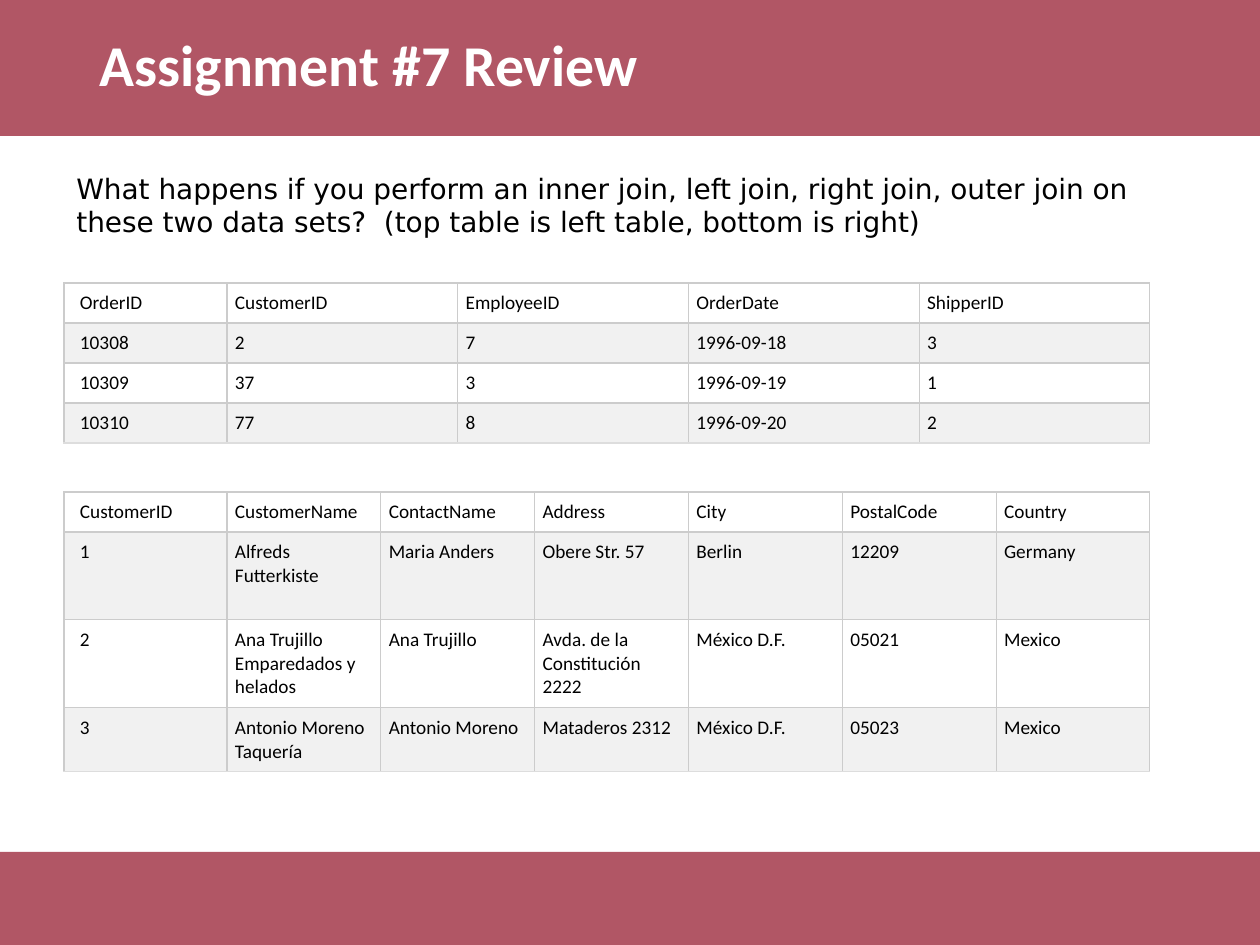
from lxml.etree import SubElement
from pptx import Presentation
from pptx.dml.color import RGBColor
from pptx.enum.shapes import MSO_SHAPE
from pptx.enum.text import MSO_ANCHOR, PP_ALIGN
from pptx.oxml.ns import qn
from pptx.util import Emu, Pt

PX = 914400 / 126
WIDTH, HEIGHT = 1260, 945
LEFT, CONTENT_WIDTH = 64, 1086
FIRST_COLUMN = 163
ROW = 40


def px(*lengths):
    """Turn pixel lengths into a list of EMU lengths."""
    return [Emu(round(length * PX)) for length in lengths]


def style(para, font, size, color, bold=False):
    for span in para.runs:
        span.font.name = font
        span.font.size = Pt(size)
        span.font.bold = bold
        span.font.color.rgb = RGBColor.from_string(color)


deck = Presentation()
deck.slide_width, deck.slide_height = px(WIDTH, HEIGHT)
page = deck.slides.add_slide(deck.slide_layouts[5])

# Header and footer bands, placed behind the title
for top, height in [(852, 93), (0, 136)]:
    band = page.shapes.add_shape(MSO_SHAPE.RECTANGLE, *px(0, top, WIDTH, height))
    band.shadow.inherit = False
    band.line.fill.background()
    band.fill.solid()
    band.fill.fore_color.rgb = RGBColor.from_string("981E32")
    color_node = band._element.spPr.find(qn("a:solidFill"))[0]
    SubElement(color_node, qn("a:alpha"), val="75000")
    page.shapes._spTree.insert(2, band._element)

title = page.shapes.title
title.left, title.top, title.width, title.height = px(87, 0, CONTENT_WIDTH, 136)
title.text_frame.text = "Assignment #7 Review"
title.text_frame.vertical_anchor = MSO_ANCHOR.MIDDLE
para = title.text_frame.paragraphs[0]
para.alignment = PP_ALIGN.LEFT
para.line_spacing = 0.9
style(para, "Calibri", 33, "FFFFFF", bold=True)

# Tables: the first column is fixed, the others share the remaining width
orders = [
    ["OrderID", "CustomerID", "EmployeeID", "OrderDate", "ShipperID"],
    ["10308", "2", "7", "1996-09-18", "3"],
    ["10309", "37", "3", "1996-09-19", "1"],
    ["10310", "77", "8", "1996-09-20", "2"],
]
customers = [
    ["CustomerID", "CustomerName", "ContactName", "Address", "City", "PostalCode", "Country"],
    ["1", "Alfreds Futterkiste", "Maria Anders", "Obere Str. 57", "Berlin", "12209", "Germany"],
    ["2", "Ana Trujillo Emparedados y helados", "Ana Trujillo",
     "Avda. de la Constitución 2222", "México D.F.", "05021", "Mexico"],
    ["3", "Antonio Moreno Taquería", "Antonio Moreno", "Mataderos 2312",
     "México D.F.", "05023", "Mexico"],
]
for top, records, row_heights in [
    (283, orders, [ROW] * 4),
    (492, customers, [ROW, 88, 88, 64]),
]:
    column_count = len(records[0])
    frame = page.shapes.add_table(
        len(records), column_count, *px(LEFT, top, CONTENT_WIDTH, sum(row_heights)))
    table = frame.table
    other_column = (CONTENT_WIDTH - FIRST_COLUMN) / (column_count - 1)
    column_widths = px(FIRST_COLUMN, *[other_column] * (column_count - 1))
    for column, width in zip(table.columns, column_widths):
        column.width = width
    for row, height in zip(table.rows, px(*row_heights)):
        row.height = height

    for r, record in enumerate(records):
        for c, value in enumerate(record):
            cell = table.cell(r, c)
            cell.text = value
            style(cell.text_frame.paragraphs[0], "Calibri", 11, "000000")
            cell.margin_left, cell.margin_right = px(8 if c else 16, 8)
            cell.margin_top, cell.margin_bottom = px(8, 8)
            properties = cell._tc.get_or_add_tcPr()
            for side in ["lnL", "lnR", "lnT", "lnB"]:
                at_bottom = side == "lnB" and r == len(records) - 1
                border = SubElement(properties, qn(f"a:{side}"), w=str(Pt(0.75)))
                fill = SubElement(border, qn("a:solidFill"))
                SubElement(fill, qn("a:srgbClr"), val="DDDDDD" if at_bottom else "CCCCCC")
            cell.fill.solid()
            cell.fill.fore_color.rgb = RGBColor.from_string("F1F1F1" if r % 2 else "FFFFFF")

question = page.shapes.add_textbox(*px(LEFT, 165, CONTENT_WIDTH, 118))
question.text_frame.word_wrap = True
question.text_frame.text = (
    "What happens if you perform an inner join, left join, right join, outer join on "
    "these two data sets?  (top table is left table, bottom is right)")
style(question.text_frame.paragraphs[0], "DejaVu Sans", 16, "000000")

deck.save("out.pptx")
